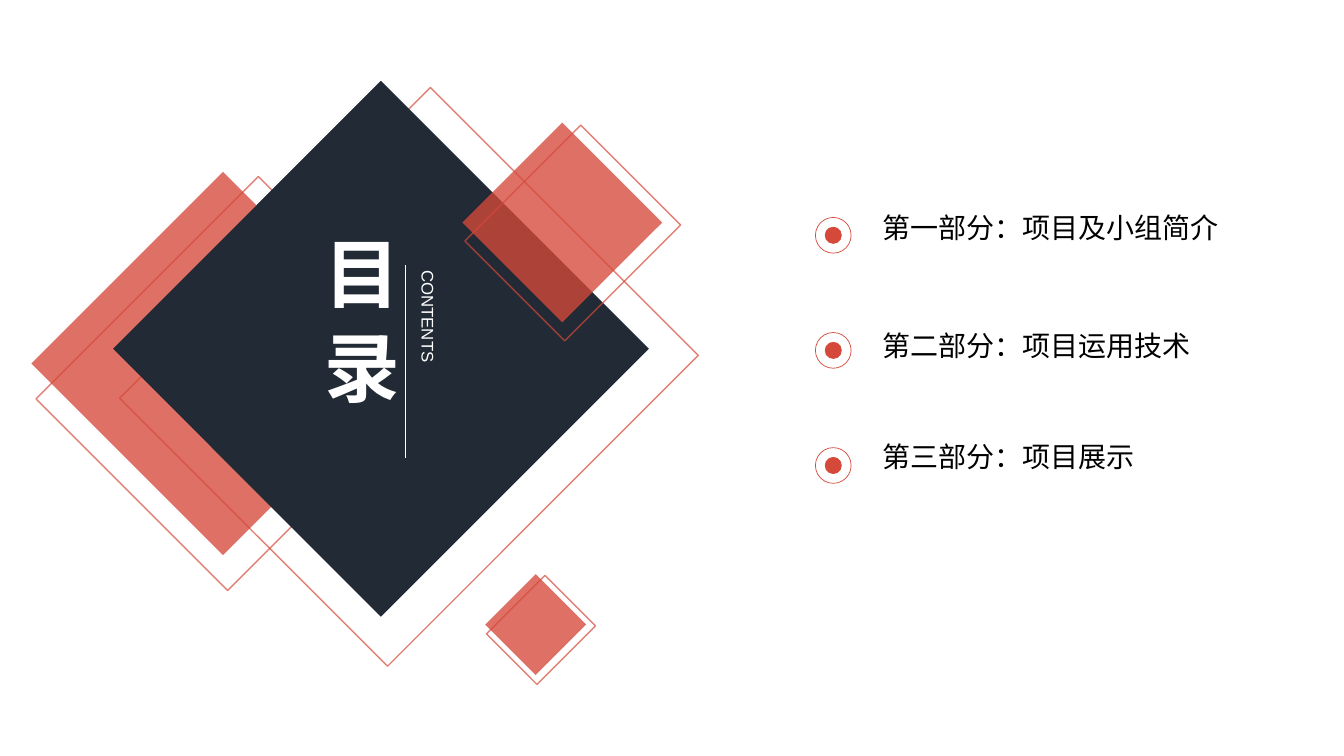
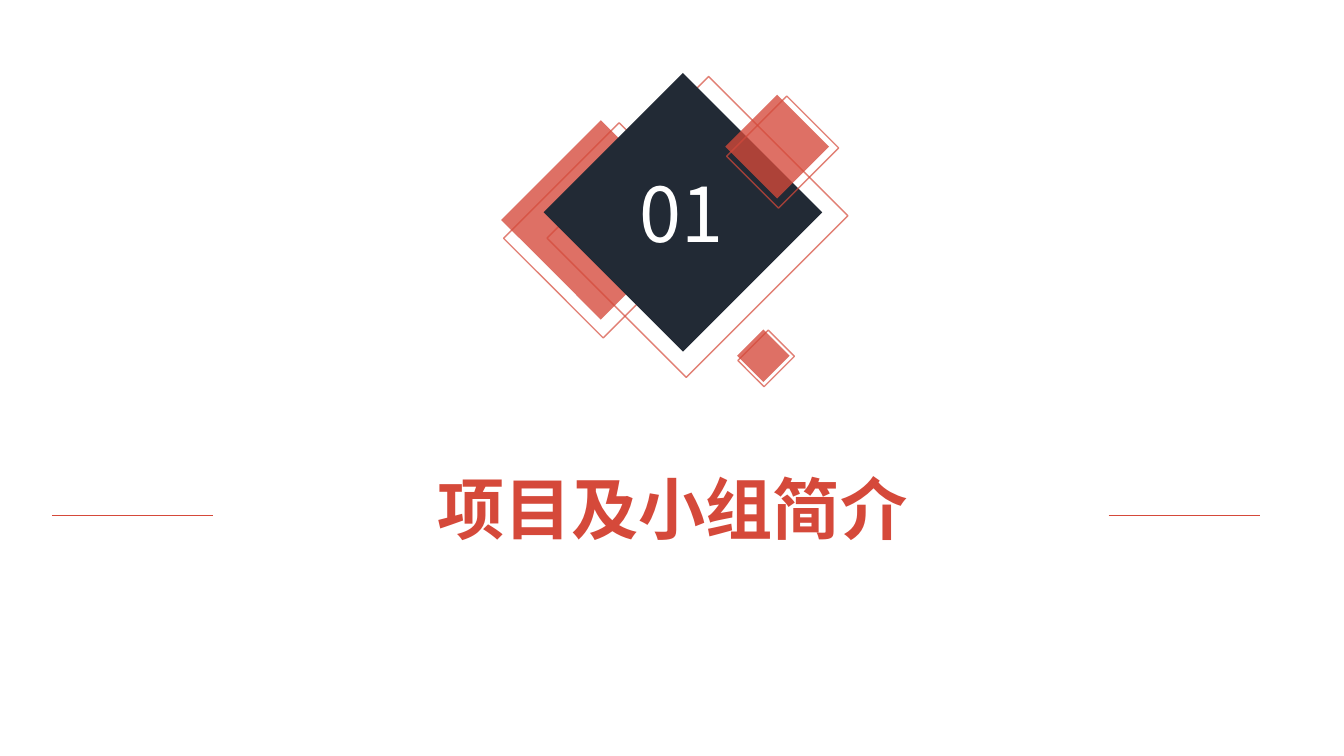
from lxml import etree
from pptx import Presentation
from pptx.dml.color import RGBColor
from pptx.enum.shapes import MSO_CONNECTOR, MSO_SHAPE
from pptx.enum.text import MSO_ANCHOR, MSO_AUTO_SIZE, PP_ALIGN
from pptx.oxml.ns import qn
from pptx.util import Cm, Pt

STRAIGHT = MSO_CONNECTOR.STRAIGHT
RECTANGLE, OVAL = MSO_SHAPE.RECTANGLE, MSO_SHAPE.OVAL
LEFT, CENTER, JUSTIFY = PP_ALIGN.LEFT, PP_ALIGN.CENTER, PP_ALIGN.JUSTIFY
TOP, MIDDLE = MSO_ANCHOR.TOP, MSO_ANCHOR.MIDDLE
GROW, FIXED = MSO_AUTO_SIZE.SHAPE_TO_FIT_TEXT, MSO_AUTO_SIZE.NONE

RED, NAVY, WHITE, BLACK = "D5493A", "222A35", "FFFFFF", "000000"
CJK, LATIN = "Noto Sans CJK SC", "Arial"

# Diamonds: offset from the navy centre, side, fill, opacity in percent (cm)
DIAMONDS = [
    (-3.98, 0.37, 6.83, RED, 78),
    (0, 0, 9.55, NAVY, 100),
    (4.57, -3.18, 3.56, RED, 78),
    (3.9, 6.95, 1.8, RED, 78),
]
OUTLINE_SHIFT, OUTLINE_STRETCH, OUTLINE_OPACITY = 0.074, 1.16, 70

# Contents entries: text top (cm) and wording
ENTRIES = [
    (5.31, "第一部分：项目及小组简介"),
    (8.28, "第二部分：项目运用技术"),
    (11.07, "第三部分：项目展示"),
]
MARKER_X, MARKER_Y, MARKER_PITCH = 21, 5.93, 2.9
RING, DOT = 0.9, 0.41


def paint(color_format, color, opacity=100):
    """Set a colour and, where needed, its opacity."""
    color_format.rgb = RGBColor.from_string(color)
    if opacity < 100:
        element = color_format._xFill.find(qn("a:srgbClr"))
        etree.SubElement(element, qn("a:alpha")).set("val", str(opacity * 1000))


def set_line(line, color, width, opacity=100):
    line.fill.solid()
    paint(line.fill.fore_color, color, opacity)
    line.width = Pt(width)


def add_centered(slide, kind, x, y, width, height, fill=None, opacity=100, line=None):
    """Add a shape by its centre; line holds colour, width and opacity."""
    shape = slide.shapes.add_shape(
        kind, Cm(x - width / 2), Cm(y - height / 2), Cm(width), Cm(height))
    shape.shadow.inherit = False
    if fill:
        shape.fill.solid()
        paint(shape.fill.fore_color, fill, opacity)
    else:
        shape.fill.background()
    if line:
        set_line(shape.line, *line)
    else:
        shape.line.fill.background()
    return shape


def add_rule(slide, x1, y1, x2, y2, color, width):
    rule = slide.shapes.add_connector(STRAIGHT, Cm(x1), Cm(y1), Cm(x2), Cm(y2))
    set_line(rule.line, color, width)
    etree.SubElement(rule._element.spPr, qn("a:effectLst"))


def add_text(slide, place, text, size, color, font=CJK, bold=False, align=LEFT,
             inset=True, vertical=False, anchor=TOP, auto_size=GROW):
    box = slide.shapes.add_textbox(*map(Cm, place))
    frame = box.text_frame
    layout = {"word_wrap": True, "vertical_anchor": anchor, "auto_size": auto_size}
    if not inset:
        layout.update({f"margin_{side}": 0 for side in ("left", "top", "right", "bottom")})
    for name, value in layout.items():
        setattr(frame, name, value)
    if vertical:
        box._element.txBody.bodyPr.set("vert", "eaVert")
    para = frame.paragraphs[0]
    para.alignment = align
    span = para.add_run()
    span.text = text
    for name, value in {"size": Pt(size), "bold": bold, "name": font}.items():
        setattr(span.font, name, value)
    paint_text = span.font.fill
    paint_text.solid()
    paint(paint_text.fore_color, color)
    etree.SubElement(span._r.get_or_add_rPr(), qn("a:ea")).set("typeface", font)


def add_diamonds(slide, center_x, center_y, scale=1.0):
    """Add the cluster of diamonds, each over its offset outline."""
    for dx, dy, base_side, fill, opacity in DIAMONDS:
        x, y, side = center_x + dx * scale, center_y + dy * scale, base_side * scale
        shift = side * OUTLINE_SHIFT
        outline = add_centered(slide, RECTANGLE, x + shift, y + shift, side,
                               side * OUTLINE_STRETCH, line=(RED, 1, OUTLINE_OPACITY))
        diamond = add_centered(slide, RECTANGLE, x, y, side, side, fill, opacity)
        outline.rotation = diamond.rotation = 45


def add_entry(slide, index, text_top, text):
    y = MARKER_Y + index * MARKER_PITCH
    add_text(slide, (22.23, text_top, 10.49, 0.86), text, 20, BLACK, inset=False)
    for size, fill in ((RING, None), (DOT, RED)):
        add_centered(slide, OVAL, MARKER_X, y, size, size, fill, line=(RED, 0.5))


def build_contents(slide):
    add_diamonds(slide, 9.6, 8.79)
    # Vertical heading
    add_text(slide, (7.9, 5.94, 2.31, 6.07), "目 录", 54, WHITE, bold=True,
             align=CENTER, inset=False, vertical=True)
    add_text(slide, (10.54, 6.81, 0.51, 4.85), "CONTENTS", 12, WHITE, LATIN,
             align=JUSTIFY, inset=False, vertical=True)
    add_rule(slide, 10.21, 6.68, 10.21, 11.53, WHITE, 0.5)
    # Entries
    for index, entry in enumerate(ENTRIES):
        add_entry(slide, index, *entry)


def build_section(slide, number, title):
    add_diamonds(slide, 17.21, 5.35, 0.52)
    # Title between two rules
    add_text(slide, (5.66, 11.66, 22.56, 2.31), title, 48, RED, bold=True, align=CENTER)
    for start, end in ((1.32, 5.38), (27.94, 31.75)):
        add_rule(slide, start, 12.98, end, 12.98, RED, 0.75)
    # Number on the navy diamond
    add_text(slide, (14.02, 4.45, 6.3, 1.78), number, 54, WHITE, align=CENTER,
             anchor=MIDDLE, auto_size=FIXED)


def main():
    deck = Presentation()
    deck.slide_width, deck.slide_height = Cm(33.87), Cm(19.05)
    blank = deck.slide_layouts[6]
    build_contents(deck.slides.add_slide(blank))
    build_section(deck.slides.add_slide(blank), "01", "项目及小组简介")
    deck.save("out.pptx")


if __name__ == "__main__":
    main()
